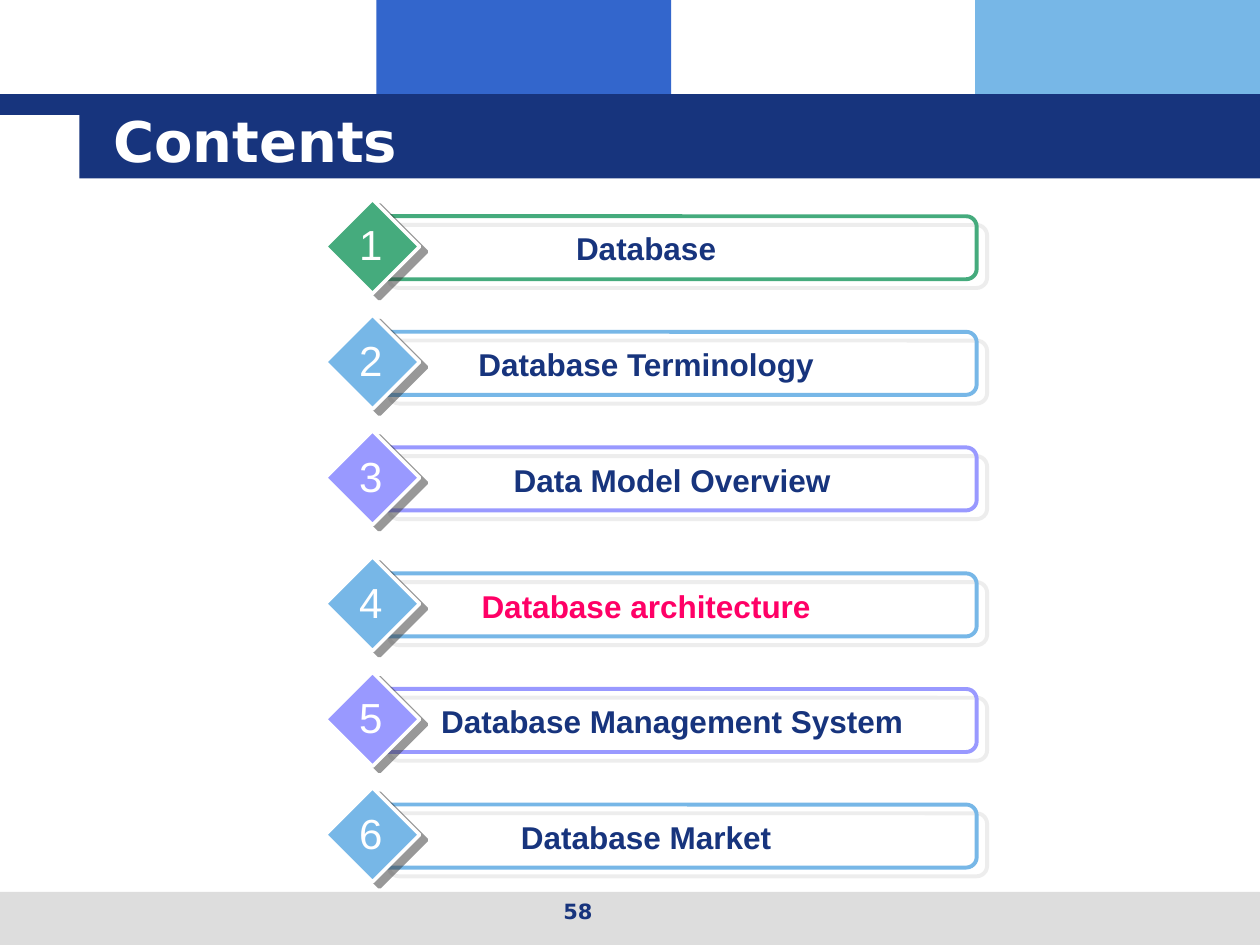
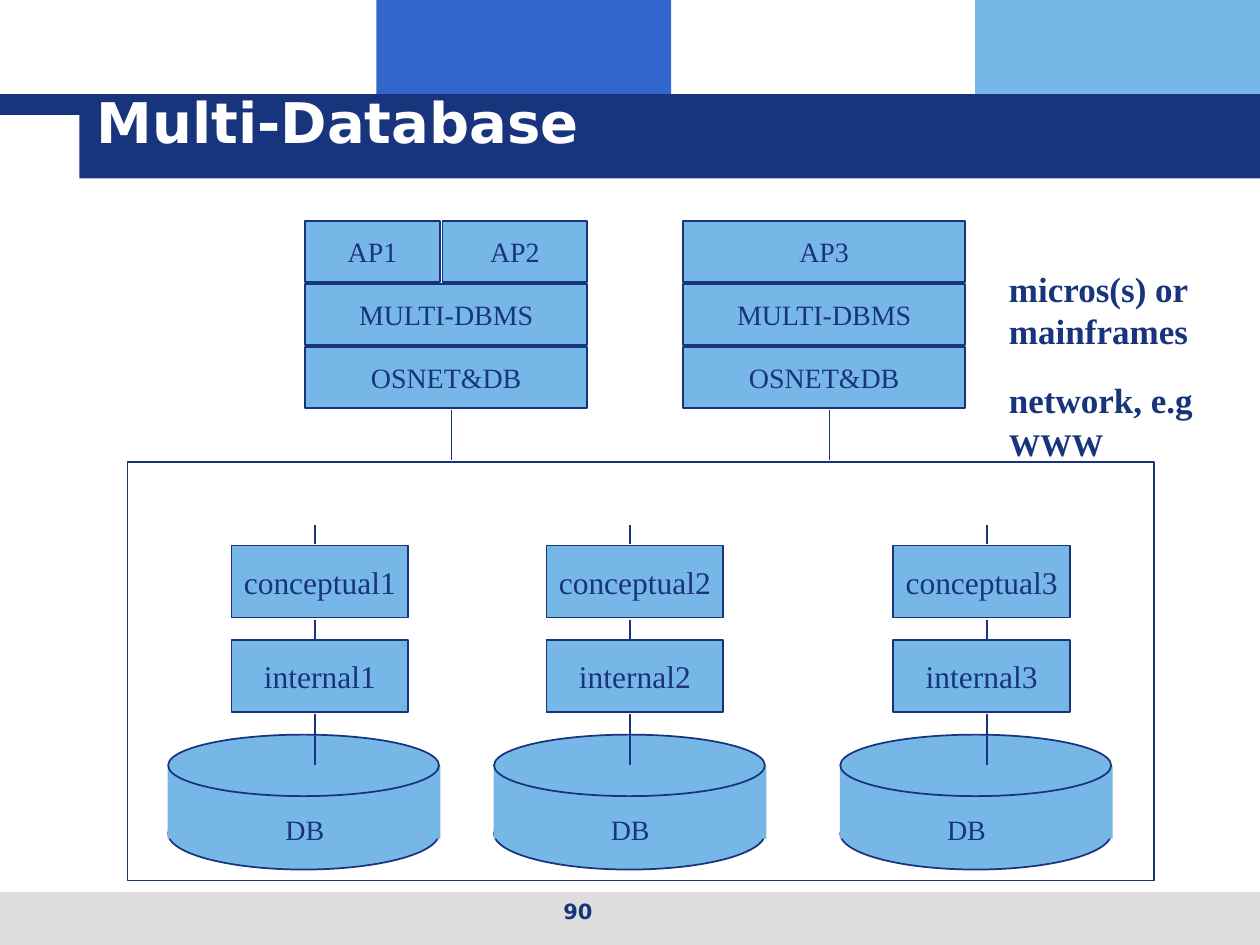
"""Build the Contents and Multi-Database slides of a database course."""
from dataclasses import dataclass

from lxml import etree
from pptx import Presentation
from pptx.dml.color import RGBColor
from pptx.enum import shapes, text
from pptx.oxml import ns
from pptx.util import Cm, Pt


@dataclass(frozen=True)
class Theme:
    navy: str = "17347D"
    blue: str = "3366CC"
    sky: str = "77B7E7"
    green: str = "45AB7D"
    lilac: str = "9999FF"
    pink: str = "FF0066"
    white: str = "FFFFFF"
    grey: str = "DDDDDD"
    dark: str = "333333"
    head: str = "DejaVu Sans"
    sans: str = "Arial"
    serif: str = "Times New Roman"
    title: int = 32
    digit: int = 24
    note: int = 20
    item: int = 18
    label: int = 16
    foot: int = 12


look = Theme()
kind = shapes.MSO_SHAPE
mid = text.MSO_ANCHOR.MIDDLE
left = text.PP_ALIGN.LEFT


def put(host, form, box, words="", size=look.label, font=look.serif, ink=look.navy,
        bold=False, align=text.PP_ALIGN.CENTER, anchor=text.MSO_ANCHOR.TOP, wrap=True,
        before=0, fill=None, line=None, width=1, shade=None):
    place = [Cm(n) for n in box]
    if form is None:
        part = host.add_textbox(*place)
    else:
        part = host.add_shape(form, *place)
        part.shadow.inherit = False
        if fill:
            part.fill.solid()
            part.fill.fore_color.rgb = RGBColor.from_string(fill)
        else:
            part.fill.background()
        if line:
            part.line.color.rgb = RGBColor.from_string(line)
            part.line.width = Pt(width)
        else:
            part.line.fill.background()
    if shade:
        color, dist, angle = shade
        effect = part._element.spPr.find(ns.qn("a:effectLst"))
        cast = etree.SubElement(effect, ns.qn("a:outerShdw"), blurRad="0",
                                dist=str(Pt(dist)), dir=str(angle * 60000),
                                algn="ctr", rotWithShape="0")
        tint = etree.SubElement(cast, ns.qn("a:srgbClr"), val=color)
        etree.SubElement(tint, ns.qn("a:alpha"), val="50000")
    if words:
        frame = part.text_frame
        frame.word_wrap = wrap
        frame.vertical_anchor = anchor
        frame.text = words
        for para in frame.paragraphs:
            para.alignment = align
            para.space_before = Pt(before)
            para.font.size = Pt(size)
            para.font.name = font
            para.font.bold = bold
            para.font.color.rgb = RGBColor.from_string(ink)
    return part


def link(host, x, top, end):
    wire = host.add_connector(shapes.MSO_CONNECTOR.STRAIGHT, Cm(x), Cm(top), Cm(x), Cm(end))
    wire.line.color.rgb = RGBColor.from_string(look.navy)
    wire.line.width = Pt(1)
    etree.SubElement(wire._element.spPr, ns.qn("a:effectLst"))


deck = Presentation()
deck.slide_width, deck.slide_height = Cm(25.4), Cm(19.05)

bands = [
    ((7.59, 0, 5.94, 2.34), look.blue),
    ((19.66, 0, 5.74, 2.34), look.sky),
    ((0, 17.98, 25.4, 1.07), look.grey),
    ((0, 1.9, 25.4, 0.42), look.navy),
    ((1.6, 1.9, 23.8, 1.7), look.navy),
]
heads = [
    ("Contents", (2.03, 2.03, 21.67, 1.57), "58"),
    ("Multi-Database", (1.7, 1.27, 24.13, 2.34), "90"),
]
pages = []
for title, spot, number in heads:
    page = deck.slides.add_slide(deck.slide_layouts[6]).shapes
    for box, fill in bands:
        put(page, kind.RECTANGLE, box, fill=fill)
    put(page, None, spot, title, look.title, look.head, look.white, True, left, mid)
    put(page, None, (8.69, 17.98, 5.92, 0.89), number, look.foot, look.head, bold=True)
    pages.append(page)
index, scheme = pages

topics = [
    ("Database", look.green, look.navy, 9.53),
    ("Database Terminology", look.sky, look.navy, 9.53),
    ("Data Model Overview", look.lilac, look.navy, 10.58),
    ("Database architecture", look.sky, look.pink, 9.53),
    ("Database Management System", look.lilac, look.navy, 10.58),
    ("Database Market", look.sky, look.navy, 9.53),
]
for i, (topic, hue, ink, wide) in enumerate(topics):
    top = 4.02 + 2.33 * i + (0.21 if i > 2 else 0)
    row = index.add_group_shape().shapes
    put(row, kind.ROUNDED_RECTANGLE, (7.62, top + 0.34, 12.07, 1.27),
        line=hue, width=2.25, shade=(look.grey, 7.8, 40))
    put(row, kind.DIAMOND, (6.56, top, 1.9, 1.9), fill=hue,
        line=look.white, width=2, shade=(look.dark, 5, 37))
    put(row, None, (8.26, top + 0.48, wide, 1.02), topic, look.item, look.sans, ink, True)
    put(row, None, (6.99, top + 0.27, 0.95, 1.27), str(i + 1), look.digit, look.sans,
        look.white, wrap=False)

cell = dict(anchor=mid, wrap=False, fill=look.sky, line=look.navy)
put(scheme, kind.RECTANGLE, (2.57, 9.32, 20.7, 8.43), fill=look.white, line=look.navy)

apps = [("AP1", 6.15, 2.72), ("AP2", 8.92, 2.92), ("AP3", 13.77, 5.69)]
for app, x, wide in apps:
    put(scheme, kind.RECTANGLE, (x, 4.45, wide, 1.24), app, **cell)
for x in (6.15, 13.77):
    for i, layer in enumerate(("MULTI-DBMS", "OSNET&DB"), 1):
        put(scheme, kind.RECTANGLE, (x, 4.45 + 1.27 * i, 5.69, 1.24), layer, **cell)
    link(scheme, x + 2.95, 8.26, 9.27)

put(scheme, None, (20.09, 5.26, 4.47, 1.93), "micros(s) or mainframes",
    look.note, bold=True, align=left, before=12.5)
net = put(scheme, None, (20.09, 7.8, 4.67, 1.6), "network, e.g\nWWW",
          look.note, bold=True, align=left, before=12.5)
for para in net.text_frame.paragraphs:
    para.line_spacing = 0.6
para.font.size = Pt(look.item)
para.space_before = Pt(11.2)

sites = [(3.39, 5.28, 4.67, 6.35), (9.96, 11.84, 11.02, 12.7), (16.94, 18.62, 18.01, 19.89)]
for i, (drum, name, box, wire) in enumerate(sites, 1):
    put(scheme, kind.OVAL, (drum, 16.08, 5.46, 1.45), fill=look.sky, line=look.navy)
    put(scheme, kind.RECTANGLE, (drum - 0.01, 15.44, 5.5, 1.47), fill=look.sky)
    put(scheme, kind.OVAL, (drum, 14.81, 5.46, 1.24), fill=look.sky, line=look.navy)
    put(scheme, None, (name, 16.26, 1.73, 0.91), "DB", before=10)
    for level, top in (("conceptual", 11.0), ("internal", 12.9)):
        put(scheme, kind.RECTANGLE, (box, top, 3.56, 1.45), f"{level}{i}", look.item, **cell)
    for top, end in ((10.58, 10.97), (12.5, 12.88), (14.4, 15.42)):
        link(scheme, wire, top, end)

deck.save("out.pptx")
